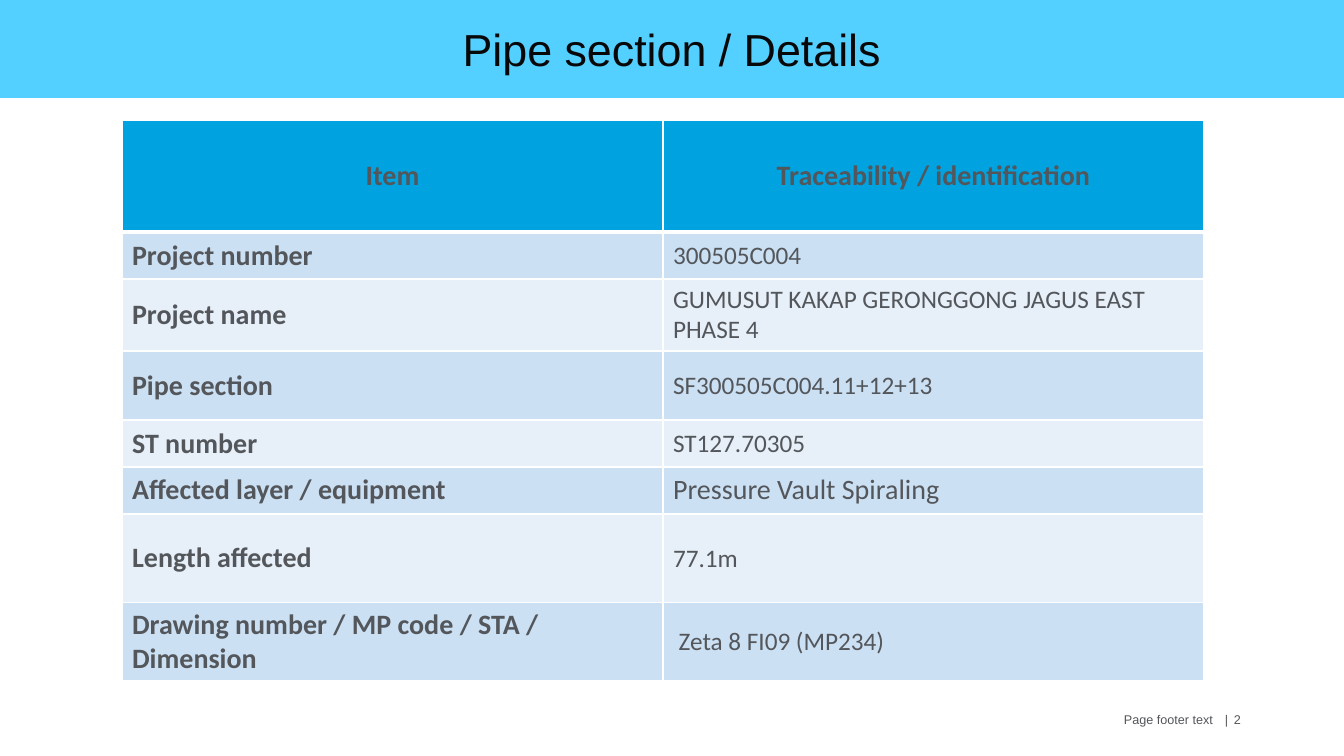
from lxml import etree
from pptx import Presentation
from pptx.dml.color import RGBColor
from pptx.enum.text import MSO_ANCHOR as Anchor, PP_ALIGN as Align
from pptx.oxml.ns import qn
from pptx.util import Emu, Pt

SKY = RGBColor(0x53, 0xD0, 0xFF)
BLUE = RGBColor(0x00, 0xA3, 0xE0)
BANDS = (RGBColor(0xCC, 0xE0, 0xF3), RGBColor(0xE7, 0xF0, 0xF9))
GREY = RGBColor(0x53, 0x56, 0x5A)
BLACK = RGBColor(0x08, 0x08, 0x08)
WHITE = RGBColor(0xFF, 0xFF, 0xFF)

# Row height, item, identification, size of the identification
HEADER = (112, "Item", "Traceability / identification", 20)
DETAILS = (
    (47, "Project number", "300505C004", 18),
    (72, "Project name", "GUMUSUT KAKAP GERONGGONG JAGUS EAST PHASE 4", 18),
    (69, "Pipe section", "SF300505C004.11+12+13", 18),
    (47, "ST number", "ST127.70305", 18),
    (47, "Affected layer / equipment", "Pressure Vault Spiraling", 20),
    (89, "Length affected", "77.1m", 18),
    (78, "Drawing number / MP code / STA / Dimension",
     " Zeta 8 FI09 (MP234)", 18),
)


def px(length):
    return Emu(round(length * 914400 / 100.8))


def write(frame, text, size, font="Calibri", color=GREY, bold=False,
          align=Align.LEFT, tabs=()):
    paragraph = frame.paragraphs[0]
    paragraph.text = text
    paragraph.alignment = align
    if tabs:
        stops = etree.SubElement(paragraph._p.get_or_add_pPr(), qn("a:tabLst"))
        for stop in tabs:
            etree.SubElement(stops, qn("a:tab"), pos=str(px(stop)), algn="l")
    for run in paragraph.runs:
        run.font.size = Pt(size)
        run.font.name = font
        run.font.bold = bold
        run.font.color.rgb = color


def add_borders(cell, top, bottom):
    properties = cell._tc.get_or_add_tcPr()
    for side, width in (("L", 1), ("R", 1), ("T", top), ("B", bottom)):
        line = etree.SubElement(properties, qn(f"a:ln{side}"), w=str(Pt(width)))
        fill = etree.SubElement(line, qn("a:solidFill"))
        etree.SubElement(fill, qn("a:srgbClr"), val=str(WHITE))


def fill_cell(cell, text, size, fill, top=1, bottom=1, **text_format):
    add_borders(cell, top, bottom)
    cell.fill.solid()
    cell.fill.fore_color.rgb = fill
    cell.vertical_anchor = Anchor.MIDDLE
    write(cell.text_frame, text, size, **text_format)


def add_title(slide, text):
    title = slide.shapes.title
    title.left, title.top, title.width, title.height = map(px, (0, -1, 1344, 99))
    title.fill.solid()
    title.fill.fore_color.rgb = SKY
    title.text_frame.vertical_anchor = Anchor.MIDDLE
    write(title.text_frame, text, 32, font="Arial", color=BLACK,
          align=Align.CENTER)


def add_details(slide):
    rows = (HEADER, *DETAILS)
    height = sum(row[0] for row in rows)
    details = slide.shapes.add_table(
        len(rows), 2, px(122), px(120), px(1082), px(height)).table
    details.horz_banding = False
    for index, (row_height, item, identification, size) in enumerate(rows):
        details.rows[index].height = px(row_height)
        is_header = index == 0
        shared = {
            "fill": BLUE if is_header else BANDS[(index - 1) % 2],
            "top": 3 if index == 1 else 1,
            "bottom": 3 if is_header else 1,
            "align": Align.CENTER if is_header else Align.LEFT,
        }
        fill_cell(details.cell(index, 0), item, 20, bold=True, **shared)
        fill_cell(details.cell(index, 1), identification, size,
                  bold=is_header, **shared)


def add_footer(slide, text):
    footer = slide.shapes.add_textbox(px(919), px(707), px(333), px(40))
    frame = footer.text_frame
    frame.word_wrap = True
    frame.margin_left = px(205)
    frame.margin_right = 0
    write(frame, text, 9, font="Arial", tabs=(101, 110))


def main():
    deck = Presentation()
    deck.slide_width, deck.slide_height = px(1344), px(756)
    slide = deck.slides.add_slide(deck.slide_layouts[5])

    # Page footer, table, then the title band
    add_footer(slide, "Page footer text\t|\t2")
    add_details(slide)
    add_title(slide, "Pipe section / Details")

    deck.save("out.pptx")


if __name__ == "__main__":
    main()
